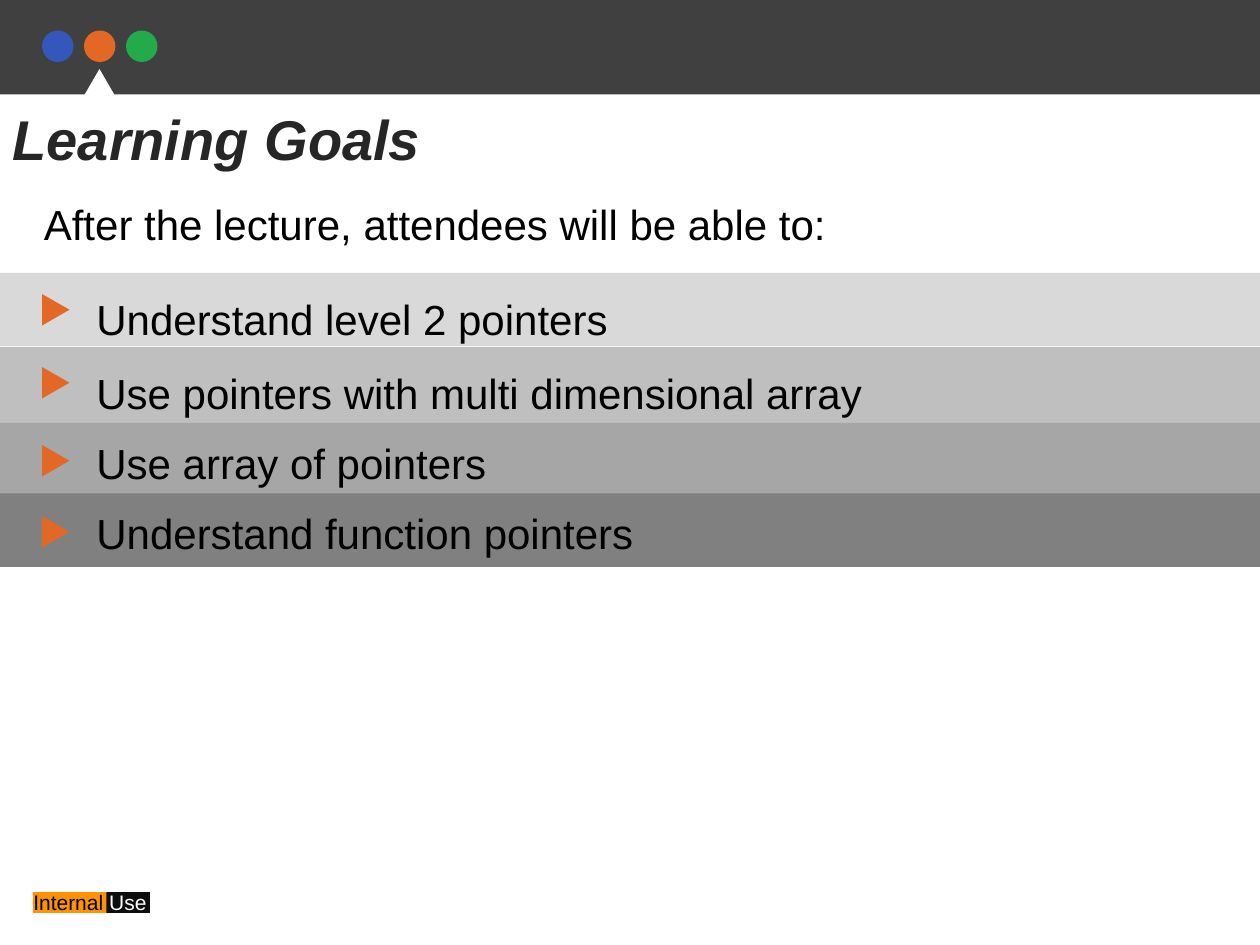
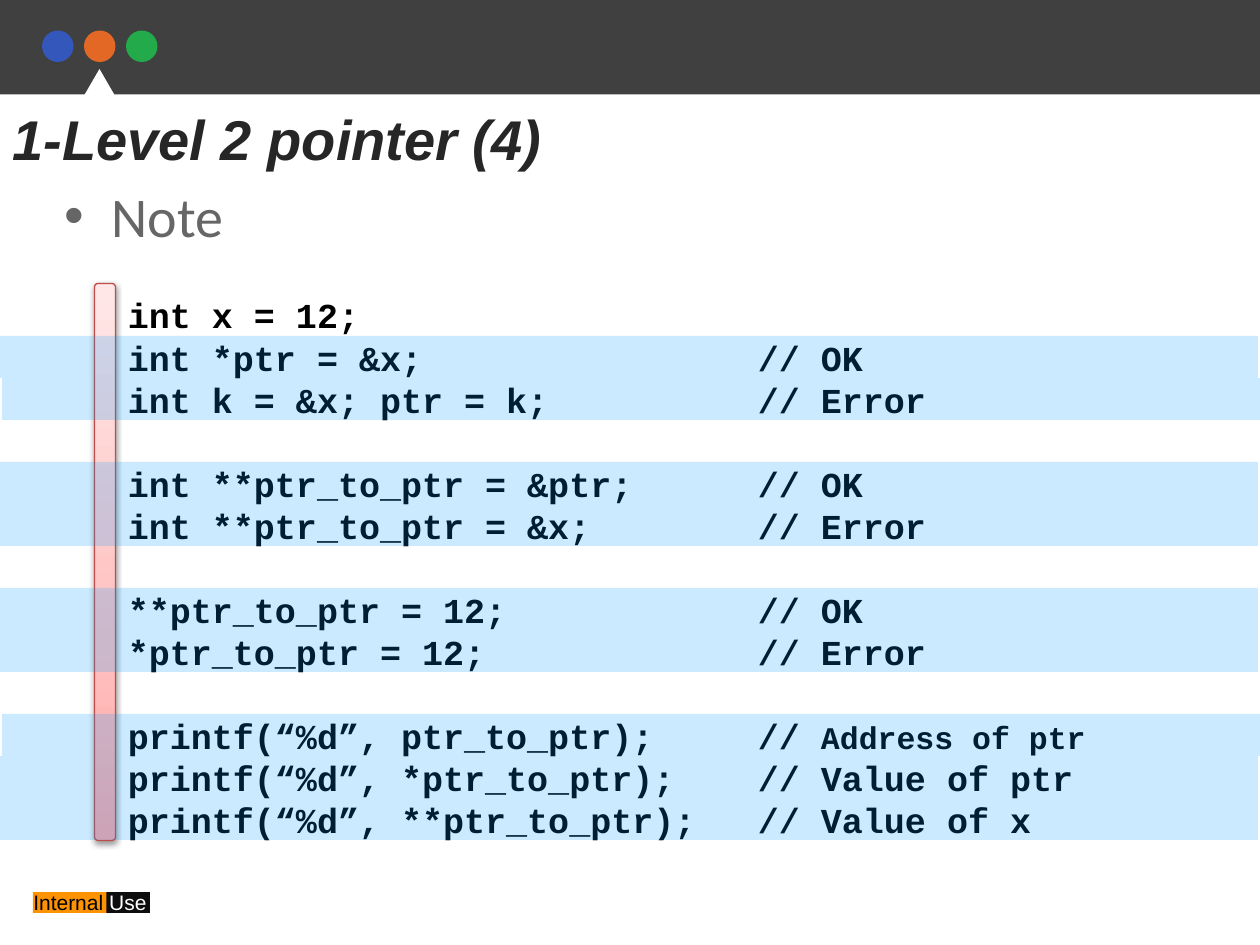
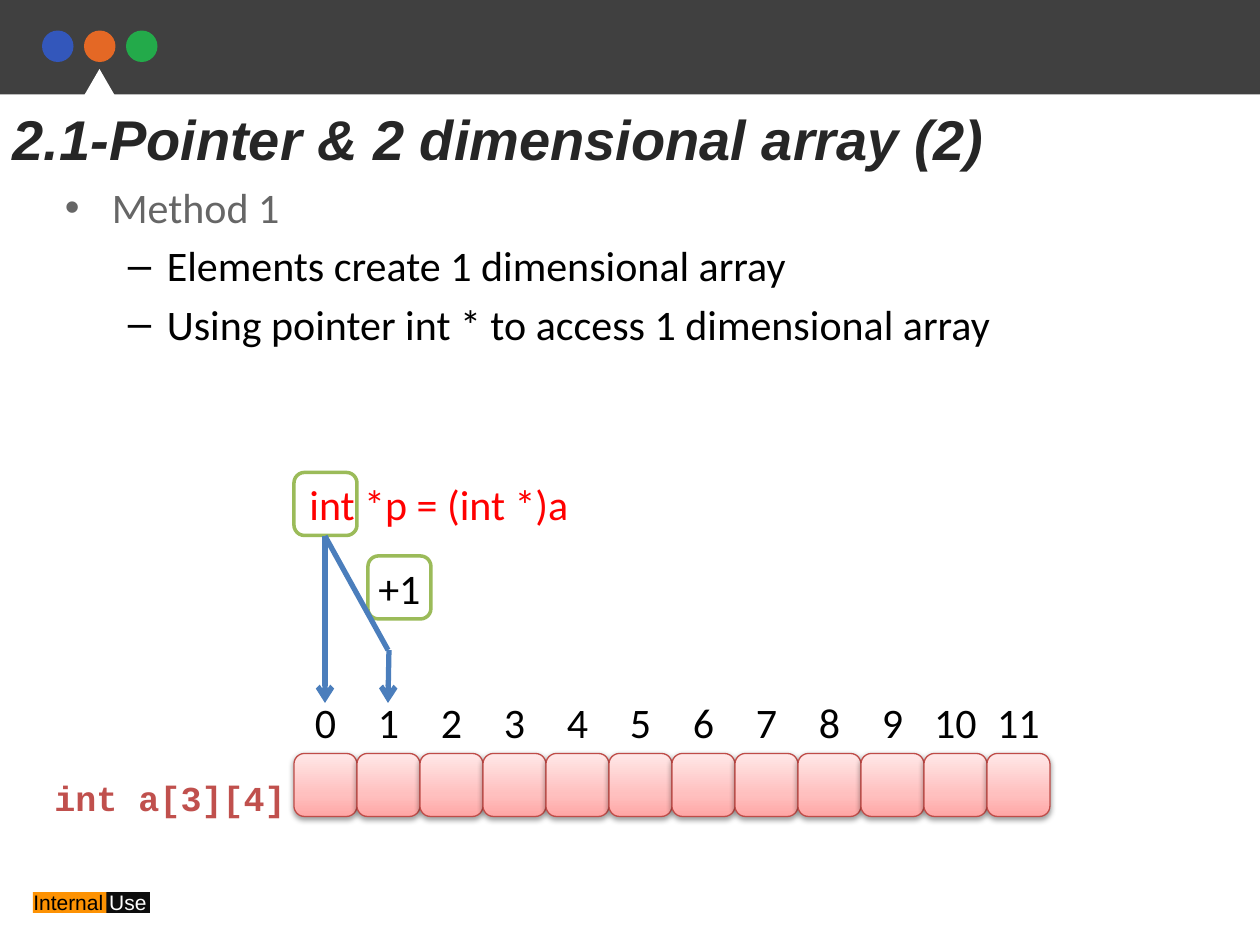
from lxml import etree
from pptx import Presentation
from pptx.dml.color import RGBColor
from pptx.enum import shapes, text
from pptx.oxml.ns import qn
from pptx.util import Pt

SCALE = 914400 / 126  # EMU per pixel
PRESET = shapes.MSO_SHAPE
CENTER = text.PP_ALIGN.CENTER
MIDDLE = text.MSO_ANCHOR.MIDDLE


class Theme:
    band, white, black = "404040", "FFFFFF", "000000"
    blue, orange, green = "3357BB", "E46825", "23AA4A"
    tag_light, tag_dark = "FD9203", "0D0D0D"
    stripes = ["D9D9D9", "BFBFBF", "A6A6A6", "808080"]
    highlight, arrow, outline, rim = "0099FF", "4B7EBC", "9BBB59", "BF4C48"
    blush = [(0, "FFA6A5"), (35, "FFC0BF"), (100, "FFE7E7")]
    title = dict(name="Arial", size=32, bold=True, italic=True, color="262626")
    plain = dict(name="Arial", size=24, color=black)
    tag = dict(name="Arial", size=12, color=black)
    tag_end = dict(tag, color=white)
    heading = dict(name="Calibri", size=32, color="666666")
    topic = dict(heading, size=24)
    body = dict(topic, color=black)
    pointer = dict(topic, color="FF0000")
    code = dict(name="Courier New", size=20, bold=True, color=black)
    small_code = dict(code, size=18)
    array = dict(code, color="C0504D")


def draw(page, preset, at, fill=None, line=None, width=0.75):
    """Add a shape, or a text box when preset is None; a list as fill is a gradient."""
    place = [round(n * SCALE) for n in at]
    if preset is None:
        return page.shapes.add_textbox(*place)
    shape = page.shapes.add_shape(preset, *place)
    shape.shadow.inherit = False
    if isinstance(fill, list):
        shape.fill.gradient()
        shape.fill.gradient_angle = 90
        stops = next(shape.element.iter(qn("a:gsLst")))
        for stop in list(stops):
            stops.remove(stop)
        for position, color in fill:
            stop = etree.SubElement(stops, qn("a:gs"), pos=str(position * 1000))
            etree.SubElement(stop, qn("a:srgbClr"), val=color)
        effects = next(shape.element.iter(qn("a:effectLst")))
        shadow = etree.SubElement(effects, qn("a:outerShdw"), blurRad="40000",
                                  dist="20000", dir="5400000", rotWithShape="0")
        color = etree.SubElement(shadow, qn("a:srgbClr"), val=Theme.black)
        etree.SubElement(color, qn("a:alpha"), val="38000")
    else:
        shape.fill.solid()
        shape.fill.fore_color.rgb = RGBColor.from_string(fill)
    if line:
        shape.line.color.rgb = RGBColor.from_string(line)
        shape.line.width = Pt(width)
    else:
        shape.line.fill.background()
    return shape


def write(box, lines, align=text.PP_ALIGN.LEFT, anchor=text.MSO_ANCHOR.TOP,
          wrap=True, inset=6.3):
    """Fill a box with lines, each a list of (words, look); return the paragraphs."""
    frame = box.text_frame
    settings = dict(word_wrap=wrap, auto_size=text.MSO_AUTO_SIZE.NONE,
                    vertical_anchor=anchor, margin_top=round(inset * SCALE))
    for name, value in settings.items():
        setattr(frame, name, value)
    for number, spans in enumerate(lines):
        para = frame.add_paragraph() if number else frame.paragraphs[0]
        para.alignment = align
        for words, look in spans:
            span = para.add_run()
            span.text = words
            for name, value in look.items():
                if name == "color":
                    span.font.color.rgb = RGBColor.from_string(value)
                else:
                    setattr(span.font, name, Pt(value) if name == "size" else value)
    return frame.paragraphs


deck = Presentation()
deck.slide_width, deck.slide_height = round(1260 * SCALE), round(945 * SCALE)
layout = deck.slide_layouts[5]

# Pages and their titles
titles = [("Learning Goals", 1187, 149),
          ("1-Level 2 pointer (4)", 1229, 81),
          ("2.1-Pointer & 2 dimensional array (2)", 1229, 81)]
pages = []
for words, width, height in titles:
    page = deck.slides.add_slide(layout)
    title = page.shapes.title
    title.left, title.top = 0, round(94.5 * SCALE)
    title.width, title.height = round(width * SCALE), round(height * SCALE)
    write(title, [[(words, Theme.title)]], inset=10)
    pages.append(page)
goals, notes, arrays = pages

# Shared band, dots, notch and tag: drawn once, then moved to the layout
common = [draw(goals, PRESET.RECTANGLE, (0, 0, 1260, 94.5), Theme.band)]
for number, color in enumerate([Theme.blue, Theme.orange, Theme.green]):
    common.append(draw(goals, PRESET.OVAL, (42 + 42 * number, 30.5, 31.5, 31.5), color))
common.append(draw(goals, PRESET.ISOSCELES_TRIANGLE, (63, 69, 73, 63), Theme.white))
common.append(draw(goals, PRESET.RECTANGLE, (77, 892, 73, 21), Theme.tag_dark))
common.append(draw(goals, PRESET.RECTANGLE, (33, 892, 73.5, 21), Theme.tag_light))
tag = draw(goals, None, (21, 882, 189, 38))
write(tag, [[("Internal ", Theme.tag), ("Use", Theme.tag_end)]], inset=8)
layout_tree = layout.placeholders[0].element.getparent()
for position, shape in enumerate(common + [tag], start=2):
    layout_tree.insert(position, shape.element)

# Slide 1: goals on grey stripes
intro = draw(goals, None, (31.5, 189, 882, 63))
write(intro, [[("After the lecture, attendees will be able to:", Theme.plain)]], inset=10)
# words, stripe top, stripe height, marker top, text top
goal_rows = [("Understand level 2 pointers", 273, 73, 296, 283.5),
             ("Use pointers with multi dimensional array", 347, 76, 369, 357),
             ("Use array of pointers", 423, 73, 447, 428),
             ("Understand function pointers", 493.5, 73.5, 518, 498)]
for color, (words, top, height, marker_top, text_top) in zip(Theme.stripes, goal_rows):
    draw(goals, PRESET.RECTANGLE, (0, top, 1260, height), color)
    marker = draw(goals, PRESET.ISOSCELES_TRIANGLE, (40, marker_top, 31.5, 27.5), Theme.orange)
    marker.rotation = 90
    label = draw(goals, None, (84, text_top, 1124, 63))
    write(label, [[(words, Theme.plain)]], inset=10)

# Bulleted text of slides 2 and 3: words, look, bullet, left margin, hanging indent
outlines = [(notes, [("Note", Theme.heading, "•", 47, 47)]),
            (arrays, [("Method 1", Theme.topic, "•", 47, 47),
                      ("Elements create 1 dimensional array", Theme.body, "–", 102, 39),
                      ("Using pointer int * to access 1 dimensional array",
                       Theme.body, "–", 102, 39)])]
for page, items in outlines:
    box = draw(page, None, (52.5, 173.5, 1134, 677))
    paras = write(box, [[(words, look)] for words, look, *_ in items], inset=8)
    for number, (para, (_, _, bullet, margin, hang)) in enumerate(zip(paras, items)):
        para.level = 1 if bullet == "–" else 0
        para.space_before = Pt(4.5 if number else 0)
        props = para.runs[0].font and para.runs[0]._r.getparent().pPr
        props.set("marL", str(round(margin * SCALE)))
        props.set("indent", str(round(-hang * SCALE)))
        etree.SubElement(props, qn("a:buFont"), typeface="Arial")
        etree.SubElement(props, qn("a:buChar"), char=bullet)

# Slide 2: code in groups, with the comments on one tab stop
draw(notes, PRESET.ROUNDED_RECTANGLE, (94.5, 283.5, 21, 557), Theme.blush, Theme.rim)
code_groups = [["int x = 12;", "int *ptr = &x;\t// OK", "int k = &x; ptr = k;\t// Error"],
               ["int **ptr_to_ptr = &ptr;\t// OK", "int **ptr_to_ptr = &x;\t// Error"],
               ["**ptr_to_ptr = 12;\t// OK", "*ptr_to_ptr = 12;\t// Error"],
               ["printf(“%d”, ptr_to_ptr);\t// ", "printf(“%d”, *ptr_to_ptr);\t// Value of ptr",
                "printf(“%d”, **ptr_to_ptr);\t// Value of x"]]
code_lines = [[(line, Theme.code)] for group in code_groups for line in group]
code_lines[7].append(("Address of ptr", Theme.small_code))
listing = draw(notes, None, (115.5, 283.5, 1008, 564))
paras = write(listing, code_lines, inset=10.5)
group_starts = [group[0] for group in code_groups[1:]]
row_top = 294
for para, spans in zip(paras, code_lines):
    first_of_group = spans[0][0] in group_starts
    para.line_spacing = Pt(24)
    para.space_before = Pt(24 if first_of_group else 0)
    tabs = etree.SubElement(para._p.pPr, qn("a:tabLst"))
    etree.SubElement(tabs, qn("a:tab"), pos=str(round(630 * SCALE)), algn="l")
    row_top += 42 if first_of_group else 0
    if row_top > 294:
        shift = 2 if para in (paras[2], paras[7]) or row_top in (378, 714) else 0
        row = draw(notes, PRESET.RECTANGLE, (shift, row_top, 1258, 42), Theme.highlight)
        color = next(row.element.spPr.iter(qn("a:srgbClr")))
        etree.SubElement(color, qn("a:alpha"), val="20000")
    row_top += 42

# Slide 3: numbered array cells
for number in range(12):
    left = 294 + 63 * number
    index = draw(arrays, PRESET.ROUNDED_RECTANGLE, (left, 690, 63, 63), Theme.white)
    write(index, [[(str(number), Theme.body)]], CENTER, MIDDLE, wrap=False)
for number in range(12):
    draw(arrays, PRESET.ROUNDED_RECTANGLE, (294 + 63 * number, 753.5, 63, 63),
         Theme.blush, Theme.rim)
name = draw(arrays, None, (42, 764, 294, 55))
write(name, [[("int a[3][4]", Theme.array)]], inset=12)

# Slide 3: pointer boxes and arrows
for at, words, look, align in [
        ((294, 472.5, 63, 63), "int *p = (int *)a", Theme.pointer, text.PP_ALIGN.LEFT),
        ((368, 556, 63, 63), "+1", Theme.body, CENTER)]:
    box = draw(arrays, PRESET.ROUNDED_RECTANGLE, at, Theme.white, Theme.outline, 2)
    write(box, [[(words, look)]], align, MIDDLE, wrap=False)
for ends, has_head in [((325, 536, 325, 703), True),
                       ((389, 650, 388, 703), True),
                       ((325, 536, 388, 650), False)]:
    link = arrays.shapes.add_connector(shapes.MSO_CONNECTOR.STRAIGHT,
                                       *[round(n * SCALE) for n in ends])
    link.line.color.rgb = RGBColor.from_string(Theme.arrow)
    link.line.width = Pt(3)
    if has_head:
        etree.SubElement(link.line._get_or_add_ln(), qn("a:tailEnd"), type="arrow")
    etree.SubElement(link.element.spPr, qn("a:effectLst"))

deck.save("out.pptx")
